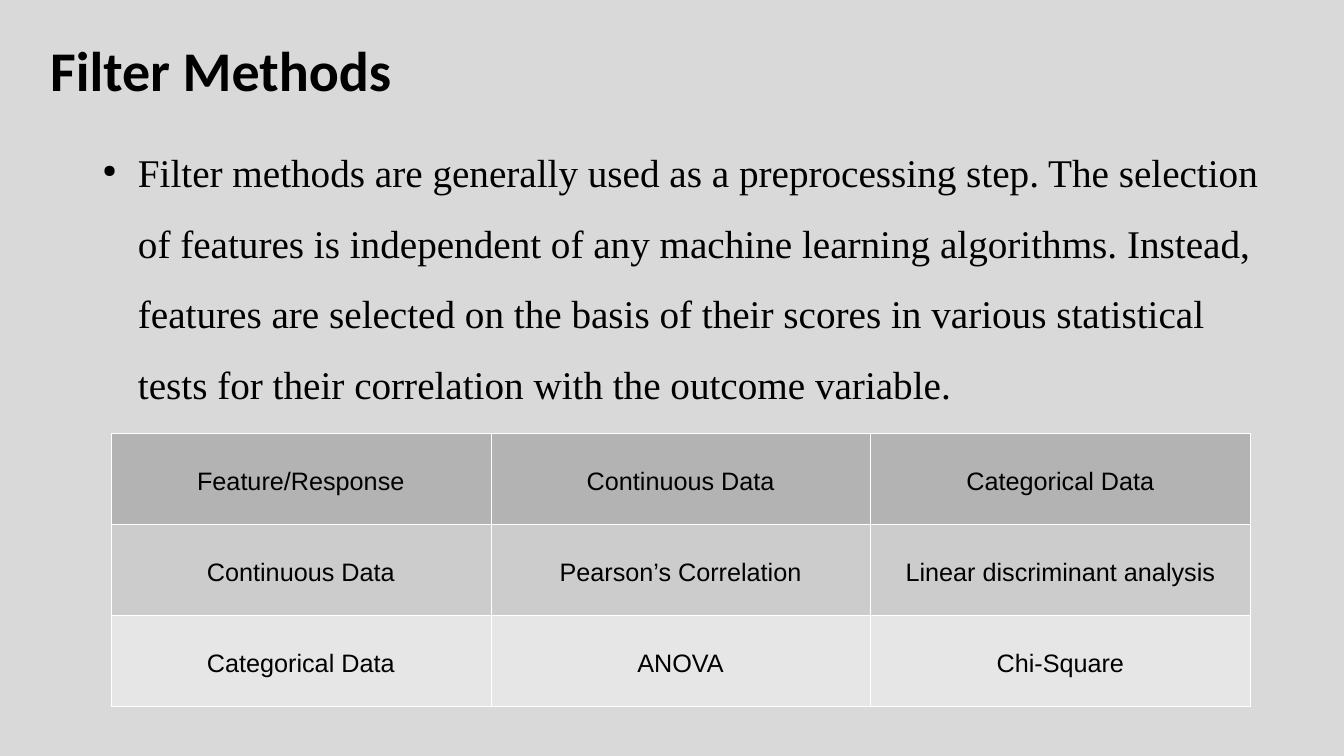
from dataclasses import dataclass

from lxml import etree
from pptx import Presentation
from pptx.dml.color import RGBColor
from pptx.enum.text import MSO_ANCHOR, PP_ALIGN
from pptx.oxml.ns import qn
from pptx.util import Inches, Pt

MIDDLE, TOP = MSO_ANCHOR.MIDDLE, MSO_ANCHOR.TOP
CENTER, LEFT = PP_ALIGN.CENTER, PP_ALIGN.LEFT


@dataclass(frozen=True)
class Theme:
    """Colours, fonts and type sizes of the slide."""

    background: str = "D9D9D9"
    ink: str = "000000"
    border: str = "FFFFFF"
    row_fills: tuple = ("B3B3B3", "CCCCCC", "E6E6E6")
    title: tuple = ("Calibri", 40, True)
    body: tuple = ("Times New Roman", 28, False)
    table: tuple = ("Arial", 18, False)
    border_width: float = 0.06
    bullet_percent: int = 45


class SlideBuilder:
    """Adds styled elements to one slide."""

    def __init__(self, slide, theme):
        """Keep the slide and theme, and paint the background."""
        self.slide = slide
        self.theme = theme
        self.paint(slide.background.fill, theme.background)

    def paint(self, fill, color):
        """Make a fill solid in the given colour."""
        fill.solid()
        fill.fore_color.rgb = RGBColor.from_string(color)

    def styled_run(self, paragraph, text, style, align=LEFT):
        """Add one styled run to a paragraph."""
        paragraph.alignment = align
        run = paragraph.add_run()
        run.text = text
        run.font.name, size, run.font.bold = style
        run.font.size = Pt(size)
        run.font.color.rgb = RGBColor.from_string(self.theme.ink)

    def text(self, box, text, style, anchor=TOP):
        """Add a wrapped text box and return its paragraph."""
        frame = self.slide.shapes.add_textbox(*map(Inches, box)).text_frame
        frame.word_wrap = True
        frame.vertical_anchor = anchor
        self.styled_run(frame.paragraphs[0], text, style)
        return frame.paragraphs[0]

    def bullet_text(self, box, text):
        """Add a body text box with a bullet and hanging indent."""
        paragraph = self.text(box, text, self.theme.body)
        paragraph.line_spacing = 1.5
        props = paragraph._p.get_or_add_pPr()
        props.set("marL", str(Inches(0.47)))
        props.set("indent", str(Inches(-0.35)))
        bullet_color = etree.SubElement(props, qn("a:buClr"))
        etree.SubElement(bullet_color, qn("a:srgbClr"), val=self.theme.ink)
        bullet_size = str(self.theme.bullet_percent * 1000)
        etree.SubElement(props, qn("a:buSzPct"), val=bullet_size)
        etree.SubElement(props, qn("a:buChar"), char="●")

    def outline(self, cell):
        """Draw a thin border on all four sides of a cell."""
        props = cell._tc.get_or_add_tcPr()
        for side in ("a:lnL", "a:lnR", "a:lnT", "a:lnB"):
            width = str(Pt(self.theme.border_width))
            line = etree.SubElement(props, qn(side), w=width)
            fill = etree.SubElement(line, qn("a:solidFill"))
            etree.SubElement(fill, qn("a:srgbClr"), val=self.theme.border)

    def table(self, box, rows):
        """Add a table of centred cells with one fill per row."""
        frame = self.slide.shapes.add_table(
            len(rows), len(rows[0]), *map(Inches, box))
        grid = frame.table
        grid.first_row = grid.horz_banding = False
        for row_index, (labels, color) in enumerate(
                zip(rows, self.theme.row_fills)):
            for column_index, label in enumerate(labels):
                cell = grid.cell(row_index, column_index)
                cell.vertical_anchor = MIDDLE
                cell.margin_top = Inches(0.11)
                self.outline(cell)
                self.paint(cell.fill, color)
                self.styled_run(cell.text_frame.paragraphs[0], label,
                                self.theme.table, CENTER)


def main():
    """Build the slide and save it."""
    deck = Presentation()
    deck.slide_width, deck.slide_height = Inches(13.33), Inches(7.5)
    theme = Theme()
    builder = SlideBuilder(deck.slides.add_slide(deck.slide_layouts[6]), theme)
    builder.text((0.4, 0.3, 9.07, 0.78), "Filter Methods", theme.title, MIDDLE)
    builder.bullet_text(
        (0.8, 1.19, 12, 5.91),
        "Filter methods are generally used as a preprocessing step. "
        "The selection of features is independent of any machine learning "
        "algorithms. Instead, features are selected on the basis of their "
        "scores in various statistical tests for their correlation with "
        "the outcome variable.")
    builder.table((1.1, 4.3, 11.3, 2.71), [
        ("Feature/Response", "Continuous Data", "Categorical Data"),
        ("Continuous Data", "Pearson’s Correlation",
         "Linear discriminant analysis"),
        ("Categorical Data", "ANOVA", "Chi-Square"),
    ])
    deck.save("out.pptx")


if __name__ == "__main__":
    main()
